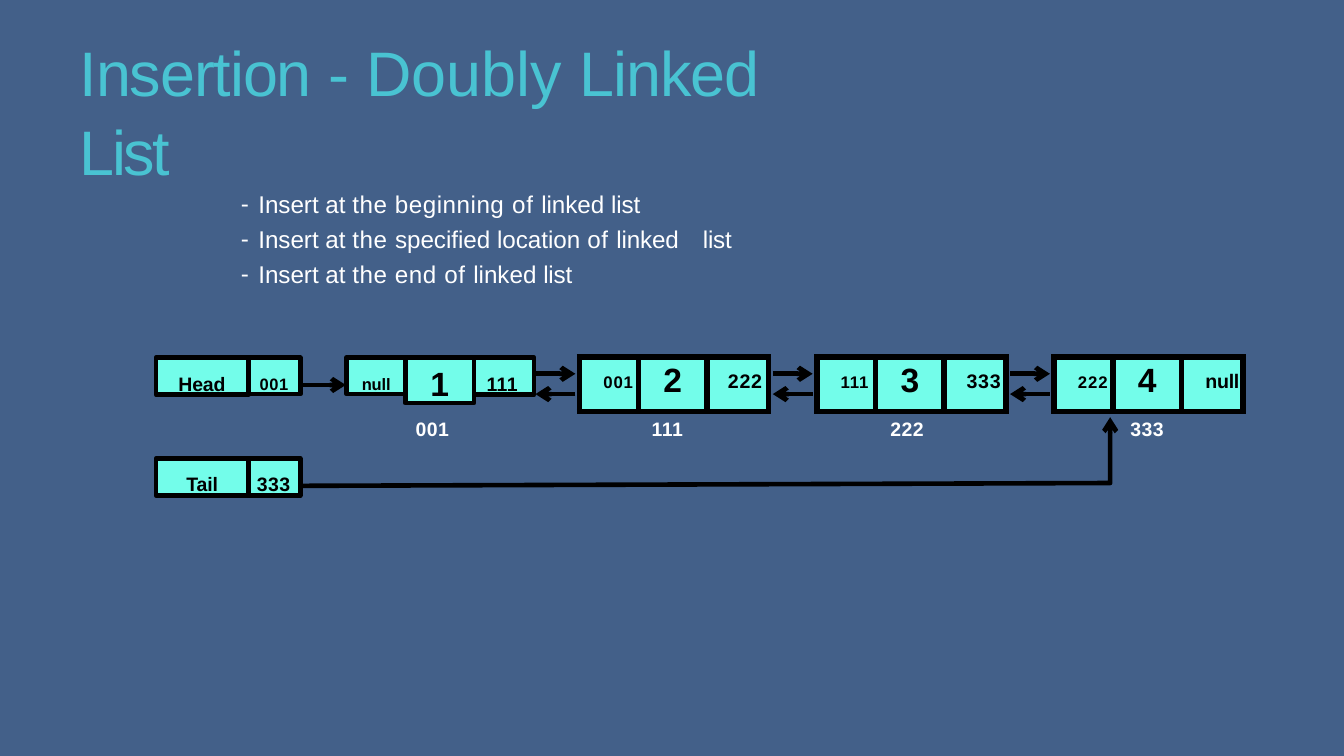
"""Build a slide on inserting into a doubly linked list."""
import lxml.etree
import pptx
import pptx.dml.color
import pptx.enum.shapes
import pptx.enum.text
import pptx.oxml.ns
import pptx.util

Pt = pptx.util.Pt
ALIGN = pptx.enum.text.PP_ALIGN
BLACK, WHITE, AQUA, TEAL, BLUE = "000000", "FFFFFF", "73FDEA", "49C3D2", "436089"


def rgb(value):
    return pptx.dml.color.RGBColor.from_string(value)


def sub(parent, tag, **attrs):
    el = lxml.etree.SubElement(parent, pptx.oxml.ns.qn(tag))
    for key, value in attrs.items():
        el.set(key, str(value))
    return el


def write(p, text, size=14, color=BLACK, bold=True, spc=0, align=ALIGN.LEFT,
          left=0, hang=0, before=0, spacing=1.0, bullet=None, tabs=()):
    runs = [(text, spc)] if isinstance(text, str) else text
    p.alignment, p.line_spacing, p.space_before = align, spacing, Pt(before)
    pPr = p._p.get_or_add_pPr()
    pPr.set("marL", str(Pt(left)))
    pPr.set("indent", str(Pt(-hang)))
    if bullet:
        sub(pPr, "a:buChar", char=bullet)
    if tabs:
        tab_list = sub(pPr, "a:tabLst")
        for pos in tabs:
            sub(tab_list, "a:tab", pos=Pt(pos), algn="l")
    for part, gap in runs:
        r = p.add_run()
        r.text = part
        r.font.name, r.font.size, r.font.bold = "Arial", Pt(size), bold
        r.font.color.rgb = rgb(color)
        r._r.get_or_add_rPr().set("spc", str(round(gap * 100)))


class Deck:
    def __init__(self, width, height, line=3.3, border=4.5):
        self.prs = pptx.Presentation()
        self.prs.slide_width, self.prs.slide_height = Pt(width), Pt(height)
        self.s = self.prs.slides.add_slide(self.prs.slide_layouts[1])
        self.s.background.fill.solid()
        self.s.background.fill.fore_color.rgb = rgb(BLUE)
        self.line, self.border = line, border

    def frame(self, sp, top):
        tf = sp.text_frame
        tf.word_wrap = True
        tf.auto_size = pptx.enum.text.MSO_AUTO_SIZE.NONE
        tf.vertical_anchor = pptx.enum.text.MSO_ANCHOR.TOP
        tf.margin_left = tf.margin_right = tf.margin_bottom = 0
        tf.margin_top = Pt(top)
        return tf

    def placeholder(self, idx, x, y, w, h, paragraphs, top, **fmt):
        sp = self.s.placeholders[idx]
        sp.left, sp.top, sp.width, sp.height = Pt(x), Pt(y), Pt(w), Pt(h)
        tf = self.frame(sp, top)
        for i, text in enumerate(paragraphs):
            p = tf.add_paragraph() if i else tf.paragraphs[0]
            write(p, text, **fmt)

    def box(self, x, y, w, h, text, top, **fmt):
        sp = self.s.shapes.add_shape(
            pptx.enum.shapes.MSO_SHAPE.RECTANGLE, Pt(x), Pt(y), Pt(w), Pt(h))
        sp.shadow.inherit = False
        sp.fill.solid()
        sp.fill.fore_color.rgb = rgb(AQUA)
        self.stroke(sp)
        write(self.frame(sp, top).paragraphs[0], text, **fmt)

    def label(self, x, y, text, **fmt):
        sp = self.s.shapes.add_textbox(Pt(x), Pt(y), Pt(30), Pt(17))
        write(self.frame(sp, 0.6).paragraphs[0], text, **fmt)

    def node(self, x, y, widths, height, cells):
        sp = self.s.shapes.add_table(
            1, len(widths), Pt(x), Pt(y), Pt(sum(widths)), Pt(height))
        table = sp.table
        table.first_row = table.horz_banding = False
        table.rows[0].height = Pt(height)
        for i, (width, (text, top, fmt)) in enumerate(zip(widths, cells)):
            table.columns[i].width = Pt(width)
            cell = table.cell(0, i)
            cell.margin_left = cell.margin_right = cell.margin_bottom = 0
            cell.margin_top = Pt(top)
            for side in "LRTB":
                ln = sub(cell._tc.get_or_add_tcPr(), "a:ln" + side, w=Pt(self.border))
                sub(sub(ln, "a:solidFill"), "a:srgbClr", val=BLACK)
            cell.fill.solid()
            cell.fill.fore_color.rgb = rgb(AQUA)
            write(cell.text_frame.paragraphs[0], text, **fmt)

    def stroke(self, sp, arrow=False):
        sp.line.color.rgb = rgb(BLACK)
        sp.line.width = Pt(self.line)
        if arrow:
            sub(sp.line._get_or_add_ln(), "a:tailEnd", type="arrow", w="med", len="med")

    def arrow(self, x1, x2, y):
        sp = self.s.shapes.add_connector(
            pptx.enum.shapes.MSO_CONNECTOR.STRAIGHT, Pt(x1), Pt(y), Pt(x2), Pt(y))
        self.stroke(sp, arrow=True)
        sub(sp._element.spPr, "a:effectLst")

    def bent_arrow(self, start, *points):
        builder = self.s.shapes.build_freeform(Pt(start[0]), Pt(start[1]))
        builder.add_line_segments([(Pt(x), Pt(y)) for x, y in points], close=False)
        sp = builder.convert_to_shape()
        sp.shadow.inherit = False
        sp.fill.background()
        self.stroke(sp, arrow=True)


deck = Deck(960, 540)
deck.placeholder(
    0, 16, 20.5, 551.5, 109.5,
    [[("Insertion ", -0.8), ("- Doubly ", 0), ("Linked ", -0.7), ("List", -1.8)]],
    top=0.8, size=44.9, color=TEAL, bold=False, left=41, spacing=1.05)
deck.placeholder(
    1, 172, 130.5, 352, 73,
    [[("Insert at ", 0), ("the beginning ", 0.4), ("of ", 0.5), ("linked ", 0), ("list", -0.1)],
     [("Insert at ", 0), ("the ", 0.4), ("specified location ", 0), ("of ", 0.5),
      ("linked\tlist", -0.1)],
     [("Insert at ", 0), ("the end ", 0.4), ("of ", 0.5), ("linked ", 0), ("list", -0.1)]],
    top=3.8, size=17.3, color=WHITE, bold=False, left=12.5, hang=12.5, before=3.3,
    spacing=1.05, bullet="-", tabs=(13, 330))

TOP, STEP = 255.5, 169.5
WIDTHS = (42, 49, 44)
small = dict(size=11.8, spc=0.4)
medium = dict(size=13.9, spc=0.3)
centred = dict(size=24, align=ALIGN.CENTER)

deck.box(247.5, TOP, 42, 26, "null", 11.3, size=11.8, spc=-0.1, left=11)
deck.box(289.5, TOP, 49, 32.5, "1", 3.5, **centred)
deck.box(338.5, TOP, 43, 26.5, "111", 10, left=9, **medium)
deck.box(111.5, TOP, 66, 26.5, "Head", 10, size=13.9, spc=-0.1, left=16)
deck.box(177.5, TOP, 37, 26, "001", 11.3, left=8, **small)
deck.box(111.5, TOP + 72, 66, 26.5, "Tail", 10, size=13.9, spc=-0.1, align=ALIGN.CENTER)
deck.box(177.5, TOP + 72, 37, 26.5, "333", 10, left=6, **medium)

for x, address in zip((296, 464.5, 635, 806.5), ("001", "111", "222", "333")):
    deck.label(x, 297.5, address, color=WHITE, left=1, **medium)

nodes = [("001", "2", "222"), ("111", "3", "333"), ("222", "4", "null")]
for i, (previous, value, following) in enumerate(nodes):
    shift = STEP * i
    deck.node(414 + shift, 255, WIDTHS, 39, [
        (previous, 11.3, dict(size=12, spc=0.6, left=17)),
        (value, 3.5, centred),
        (following, 10, dict(spc=-0.2 if following == "null" else 0.5, left=15 + i))])
    left, right = 382.5 + shift, 411 + shift
    deck.arrow(left, right, 267)
    deck.arrow(right, left, 281.5)

deck.arrow(216, 247, 275)
deck.bent_arrow((216.5, 347), (793, 345), (793, 298))
deck.prs.save("out.pptx")
